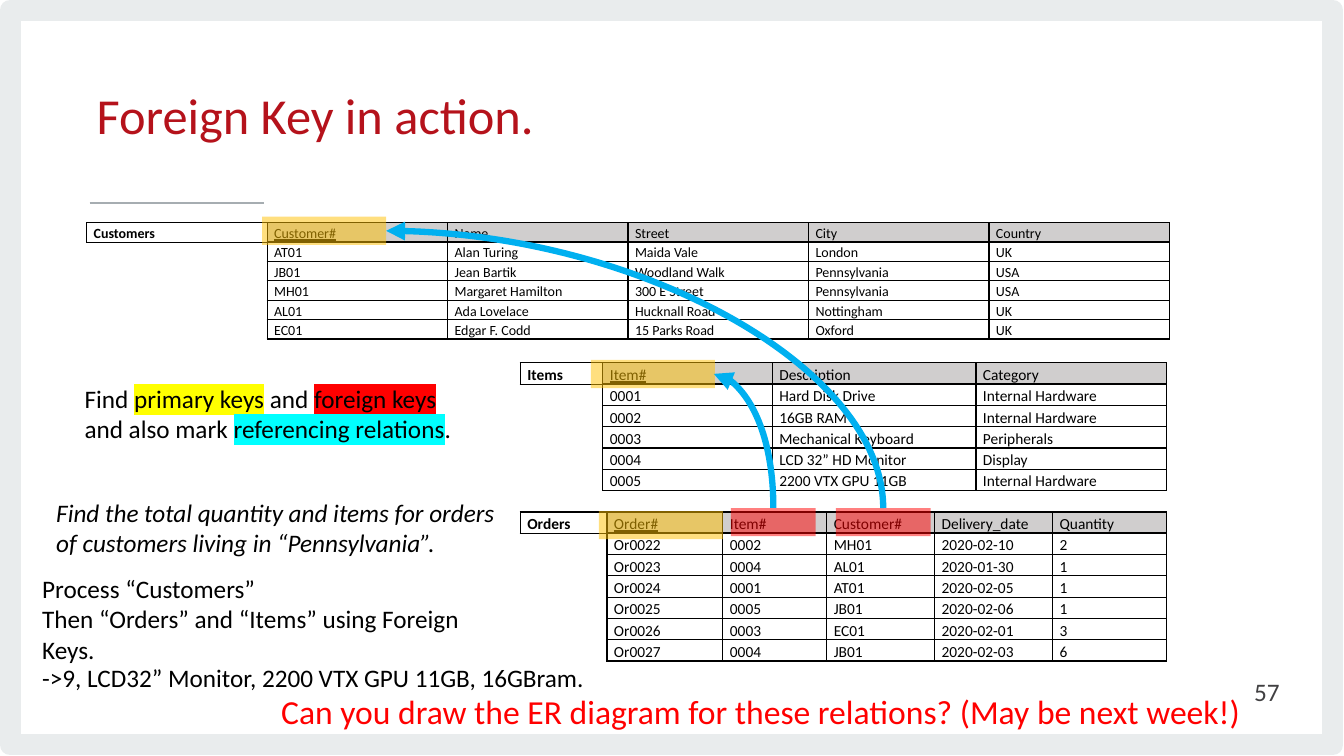
"""Build the slide on foreign keys between customers, items and orders."""
from dataclasses import dataclass

from lxml import etree
from pptx import Presentation
from pptx.dml.color import RGBColor
from pptx.enum.shapes import MSO_CONNECTOR, MSO_SHAPE
from pptx.enum.text import MSO_ANCHOR, PP_ALIGN
from pptx.oxml.ns import qn
from pptx.util import Inches, Pt

RECTANGLE = MSO_SHAPE.RECTANGLE
STRAIGHT, CURVE = MSO_CONNECTOR.STRAIGHT, MSO_CONNECTOR.CURVE
TOP, MIDDLE = MSO_ANCHOR.TOP, MSO_ANCHOR.MIDDLE
LEFT, RIGHT = PP_ALIGN.LEFT, PP_ALIGN.RIGHT
NO_GRID_STYLE = "{2D5ABB26-0587-4C30-8999-92F81FD0307C}"


@dataclass(frozen=True)
class Theme:
    font: str = "Calibri"
    ink: str = "000000"
    title: str = "B5121B"
    number: str = "414042"
    alert: str = "FF0000"
    frame: str = "E9ECED"
    rule: str = "A6ADB1"
    header: str = "D0CECE"
    primary: str = "FFC000"
    arrow: str = "00B0F0"
    yellow: str = "FFFF00"
    cyan: str = "00FFFF"
    title_size: int = 36
    question_size: int = 24
    body_size: int = 18


THEME = Theme()

TABLES = [
    dict(name="Customers", at=(0.86, 2.21), size=10, anchor=MIDDLE, row=0.19,
         widths=[1.79] * 6,
         rows=[("Customer#", "Name", "Street", "City", "Country"),
               ("AT01", "Alan Turing", "Maida Vale", "London", "UK"),
               ("JB01", "Jean Bartik", "Woodland Walk", "Pennsylvania", "USA"),
               ("MH01", "Margaret Hamilton", "300 E Street", "Pennsylvania", "USA"),
               ("AL01", "Ada Lovelace", "Hucknall Road", "Nottingham", "UK"),
               ("EC01", "Edgar F. Codd", "15 Parks Road", "Oxford", "UK")]),
    dict(name="Items", at=(5.16, 3.6), size=11, anchor=TOP, row=0.2,
         widths=[0.82, 1.68, 2.02, 1.89],
         rows=[("Item#", "Description", "Category"),
               ("0001", "Hard Disk Drive", "Internal Hardware"),
               ("0002", "16GB RAM", "Internal Hardware"),
               ("0003", "Mechanical Keyboard", "Peripherals"),
               ("0004", "LCD 32” HD Monitor", "Display"),
               ("0005", "2200 VTX GPU 11GB", "Internal Hardware")]),
    dict(name="Orders", at=(5.16, 5.08), size=11, anchor=TOP, row=0.2,
         widths=[0.86, 1.15, 1.03, 1.07, 1.17, 1.13],
         rows=[("Order#", "Item#", "Customer#", "Delivery_date", "Quantity"),
               ("Or0022", "0002", "MH01", "2020-02-10", "2"),
               ("Or0023", "0004", "AL01", "2020-01-30", "1"),
               ("Or0024", "0001", "AT01", "2020-02-05", "1"),
               ("Or0025", "0005", "JB01", "2020-02-06", "1"),
               ("Or0026", "0003", "EC01", "2020-02-01", "3"),
               ("Or0027", "0004", "JB01", "2020-02-03", "6")]),
]
KEY_TASK = [("Find ", None), ("primary keys", THEME.yellow), (" and ", None),
            ("foreign keys ", THEME.alert), ("and also mark ", None),
            ("referencing relations", THEME.cyan), (".", None)]
QUERY = "Find the total quantity and items for orders of customers living in “Pennsylvania”."
STEPS = ["Process “Customers”", "Then “Orders” and “Items” using Foreign Keys."]
ANSWER = "->9, LCD32” Monitor, 2200 VTX GPU 11GB, 16GBram."
QUESTION = "Can you draw the ER diagram for these relations? (May be next week!)"
KEY_MARKS = [(2.6, 2.15, 1.23, THEME.primary), (5.86, 3.57, 1.23, THEME.primary),
             (5.94, 5.07, 1.23, THEME.primary), (7.25, 5.04, 0.84, THEME.alert),
             (8.29, 5.04, 0.94, THEME.alert)]
MARK_HEIGHT = 0.28
REFERENCES = [((7.67, 5.04), (7.08, 3.71)), ((8.76, 5.04), (3.83, 2.29))]


def rgb(code):
    return RGBColor.from_string(code)


def add_span(para, text, size=THEME.body_size, color=THEME.ink, bold=False,
             italic=False, underline=False, highlight=None):
    span = para.add_run()
    span.text = text
    font = span.font
    font.name, font.size, font.color.rgb = THEME.font, Pt(size), rgb(color)
    font.bold, font.italic, font.underline = bold, italic, underline
    if highlight:
        marker = etree.Element(qn("a:highlight"))
        etree.SubElement(marker, qn("a:srgbClr"), val=highlight)
        span._r.rPr.find(qn("a:solidFill")).addnext(marker)


def add_text(page, lines, at, anchor=TOP, align=LEFT, spacing=None, before=0, **style):
    box = page.shapes.add_textbox(*map(Inches, at))
    frame = box.text_frame
    frame.word_wrap, frame.vertical_anchor = True, anchor
    for index, line in enumerate(lines):
        para = frame.add_paragraph() if index else frame.paragraphs[0]
        para.alignment, para.space_before = align, Pt(before)
        if spacing:
            para.line_spacing = Pt(spacing)
        for text, highlight in [(line, None)] if isinstance(line, str) else line:
            add_span(para, text, highlight=highlight, **style)


def set_borders(cell, widths):
    properties = cell._tc.get_or_add_tcPr()
    for index, side in enumerate("LRTB"):
        width = widths.get(side, 0)
        line = etree.Element(qn(f"a:ln{side}"), w=str(Pt(width)))
        if width:
            fill = etree.SubElement(line, qn("a:solidFill"))
            etree.SubElement(fill, qn("a:srgbClr"), val=THEME.ink)
        else:
            etree.SubElement(line, qn("a:noFill"))
        properties.insert(index, line)


def add_relation(page, name, at, size, anchor, row, widths, rows):
    left, top = at
    grid = page.shapes.add_table(len(rows), len(widths), Inches(left), Inches(top),
                                 Inches(sum(widths)), Inches(row * len(rows))).table
    grid.first_row = grid.horz_banding = False
    grid._tbl.tblPr.find(qn("a:tableStyleId")).text = NO_GRID_STYLE
    for column, width in zip(grid.columns, widths):
        column.width = Inches(width)
    for r, values in enumerate(rows):
        for c, text in enumerate(("" if r else name, *values)):
            cell = grid.cell(r, c)
            cell.margin_left = cell.margin_right = Inches(0.07)
            cell.margin_top = cell.margin_bottom = 0
            cell.vertical_anchor = anchor
            para = cell.text_frame.paragraphs[0]
            para.line_spacing, para.space_after = 1.15, Pt(10)
            if text:
                add_span(para, text, size=size, bold=c == 0, underline=r == 0 and c == 1)
            else:
                etree.SubElement(para._p, qn("a:endParaRPr"), sz=str(size * 100))
            if r == 0 and c:
                cell.fill.solid()
                cell.fill.fore_color.rgb = rgb(THEME.header)
            else:
                cell.fill.background()
            if c:
                set_borders(cell, dict(L=1, R=1, T=1.5 if r == 1 else 1, B=1 if r else 1.5))
            elif r == 0:
                set_borders(cell, dict(L=1, R=1, T=1, B=1))
            else:
                set_borders(cell, dict(R=1, T=1 if r == 1 else 0))


def add_rectangle(page, at):
    shape = page.shapes.add_shape(RECTANGLE, *map(Inches, at))
    shape.shadow.inherit = False
    return shape


def add_line(page, kind, start, end, color, width):
    line = page.shapes.add_connector(kind, *map(Inches, (*start, *end)))
    line.line.color.rgb, line.line.width = rgb(color), Pt(width)
    etree.SubElement(line._element.spPr, qn("a:effectLst"))
    return line


def add_reference(page, start, end):
    (x1, y1), (x2, y2) = start, end
    middle_x, middle_y = (x1 + x2) / 2, (y1 + y2) / 2
    half_run, half_rise = (y1 - y2) / 2, (x1 - x2) / 2
    arrow = add_line(page, CURVE, (middle_x - half_run, middle_y + half_rise),
                     (middle_x + half_run, middle_y - half_rise), THEME.arrow, 4.5)
    properties = arrow._element.spPr
    properties.find(qn("a:xfrm")).set("rot", str(270 * 60000))
    properties.find(qn("a:prstGeom")).set("prst", "curvedConnector2")
    etree.SubElement(properties.find(qn("a:ln")), qn("a:tailEnd"), type="triangle")


def main():
    deck = Presentation()
    deck.slide_width, deck.slide_height = Inches(13.33), Inches(7.5)
    page = deck.slides.add_slide(deck.slide_layouts[6])
    border = add_rectangle(page, (0.1, 0.1, 13.12, 7.29))
    border.fill.background()
    border.line.color.rgb, border.line.width = rgb(THEME.frame), Pt(15.11)
    add_line(page, STRAIGHT, (0.89, 2.01), (2.62, 2.01), THEME.rule, 1.33)
    add_text(page, ["Foreign Key in action."], (0.86, 0.52, 9.02, 1.34), anchor=MIDDLE,
             spacing=34.7, before=7.5, size=THEME.title_size, color=THEME.title)
    for relation in TABLES:
        add_relation(page, **relation)
    add_text(page, ["57"], (9.79, 6.66, 3, 0.4), anchor=MIDDLE, align=RIGHT,
             color=THEME.number)
    add_text(page, [KEY_TASK], (0.74, 3.75, 4.02, 0.71))
    for left, top, width, color in KEY_MARKS:
        mark = add_rectangle(page, (left, top, width, MARK_HEIGHT))
        mark.fill.solid()
        mark.fill.fore_color.rgb = rgb(color)
        tint = mark._element.spPr.find(qn("a:solidFill")).find(qn("a:srgbClr"))
        etree.SubElement(tint, qn("a:alpha"), val="50000")
        mark.line.fill.background()
    for start, end in REFERENCES:
        add_reference(page, start, end)
    add_text(page, [QUERY], (0.46, 4.88, 4.7, 0.71), italic=True)
    add_text(page, STEPS, (0.32, 5.64, 4.46, 1.01))
    add_text(page, [QUESTION], (2.69, 6.81, 10.1, 0.5), size=THEME.question_size,
             color=THEME.alert)
    add_text(page, [ANSWER], (0.32, 6.52, 6.05, 0.4))
    deck.save("out.pptx")


if __name__ == "__main__":
    main()
